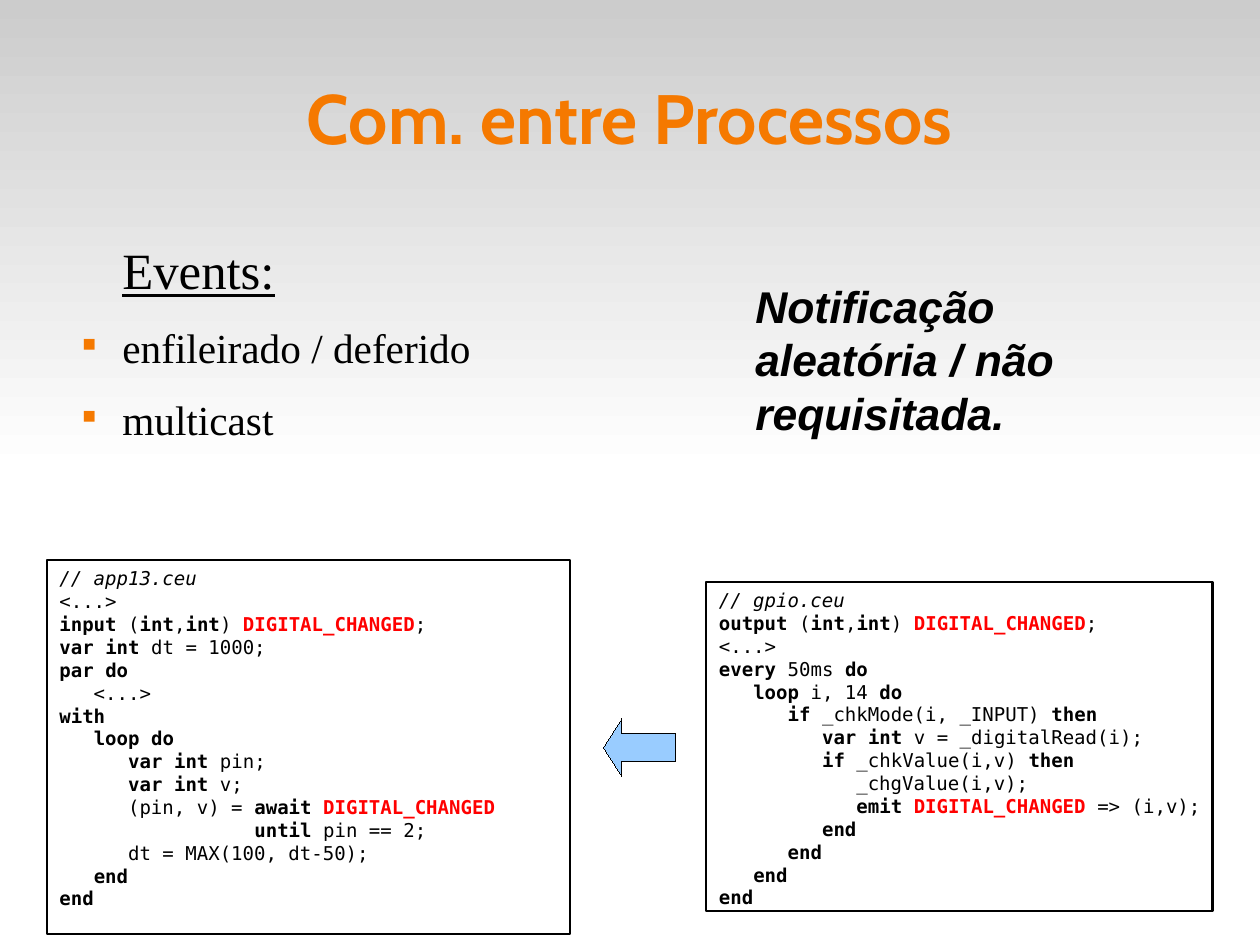
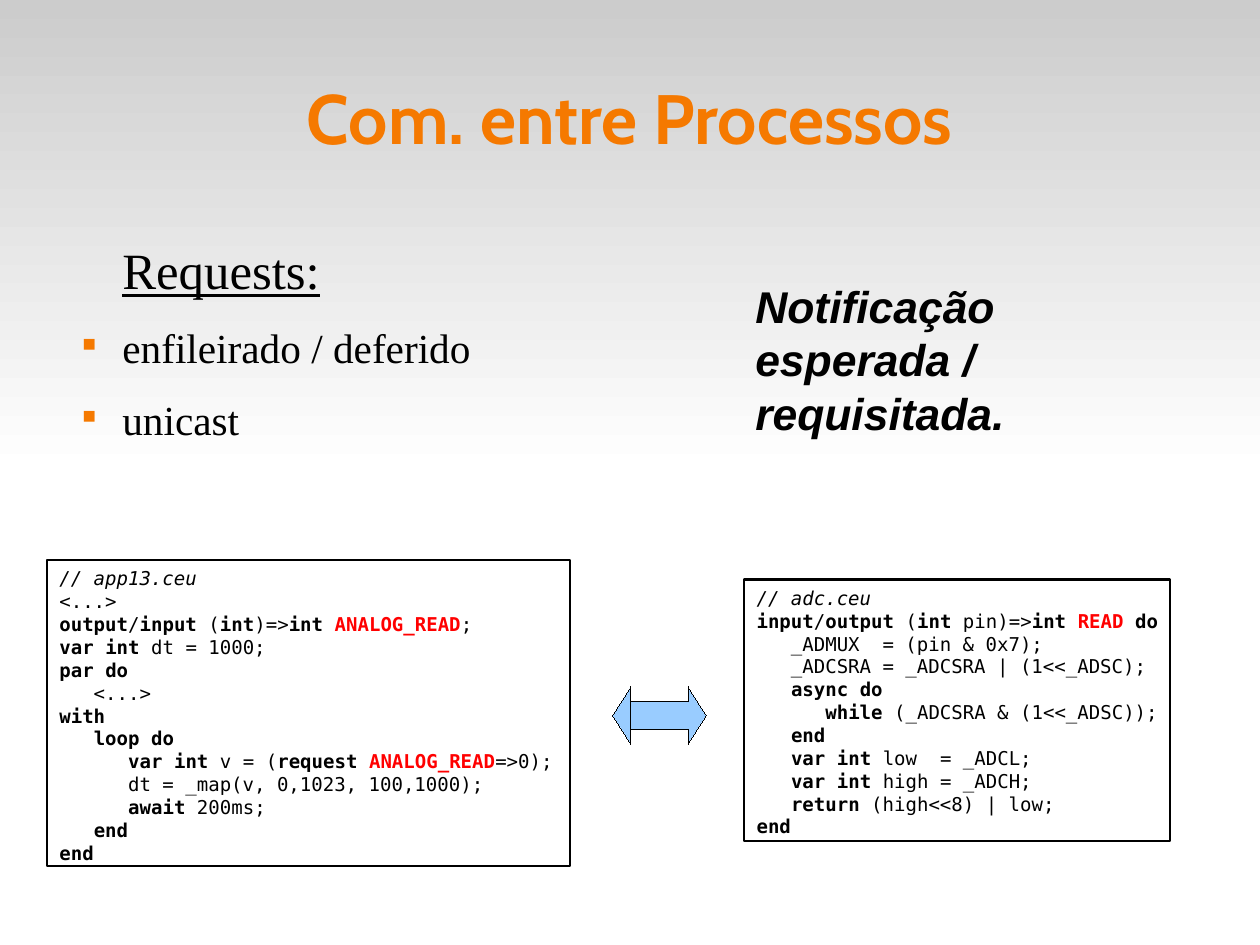
from itertools import groupby
from lxml.etree import SubElement
from pptx import Presentation
from pptx.dml.color import RGBColor
from pptx.enum.shapes import MSO_SHAPE as Shape
from pptx.enum.text import MSO_ANCHOR as Anchor, PP_ALIGN as Align
from pptx.oxml.ns import qn
from pptx.util import Inches, Pt

ORANGE = RGBColor(0xF5, 0x79, 0x00)
BLACK = RGBColor(0, 0, 0)
WHITE = RGBColor(0xFF, 0xFF, 0xFF)
GRAY = RGBColor(0xCC, 0xCC, 0xCC)
RED = RGBColor(0xFF, 0, 0)
BLUE = RGBColor(0x99, 0xCC, 0xFF)

WIDTH, HEIGHT = 28 / 2.54, 21 / 2.54
HAIR = 0.01
TITLE = "Com. entre Processos"
WORDS = set("input output int var par do with loop await until end every "
            "if then emit request async while return".split())
NAMES = {"DIGITAL_CHANGED", "ANALOG_READ", "READ"}

EVENT_APP = """// app13.ceu
<...>
input (int,int) DIGITAL_CHANGED;
var int dt = 1000;
par do
   <...>
with
   loop do
      var int pin;
      var int v;
      (pin, v) = await DIGITAL_CHANGED
                 until pin == 2;
      dt = MAX(100, dt-50);
   end
end"""

GPIO = """// gpio.ceu
output (int,int) DIGITAL_CHANGED;
<...>
every 50ms do
   loop i, 14 do
      if _chkMode(i, _INPUT) then
         var int v = _digitalRead(i);
         if _chkValue(i,v) then
            _chgValue(i,v);
            emit DIGITAL_CHANGED => (i,v);
         end
      end
   end
end"""

REQUEST_APP = """// app13.ceu
<...>
output/input (int)=>int ANALOG_READ;
var int dt = 1000;
par do
   <...>
with
   loop do
      var int v = (request ANALOG_READ=>0);
      dt = _map(v, 0,1023, 100,1000);
      await 200ms;
   end
end"""

ADC = """// adc.ceu
input/output (int pin)=>int READ do
   _ADMUX  = (pin & 0x7);
   _ADCSRA = _ADCSRA | (1<<_ADSC);
   async do
      while (_ADCSRA & (1<<_ADSC));
   end
   var int low  = _ADCL;
   var int high = _ADCH;
   return (high<<8) | low;
end"""

SLIDES = [
    {"head": "Events:",
     "items": ["enfileirado / deferido", "multicast"],
     "note": "Notificação aleatória / não requisitada.",
     "code": [(EVENT_APP, (0.41, 4.9, 4.58, 3.27), True),
              (GPIO, (6.18, 5.09, 4.43, 2.88), False)],
     "arrows": [(Shape.LEFT_ARROW, (5.28, 6.29, 0.63, 0.5))]},
    {"head": "Requests:",
     "items": ["enfileirado / deferido", "unicast"],
     "note": "Notificação esperada / requisitada.",
     "code": [(REQUEST_APP, (0.41, 4.9, 4.58, 2.68), True),
              (ADC, (6.51, 5.07, 3.73, 2.29), False)],
     "arrows": [(Shape.LEFT_ARROW, (5.36, 6.01, 0.63, 0.5)),
                (Shape.RIGHT_ARROW, (5.52, 6.01, 0.66, 0.5))]},
]


def style(font, name, size, color=BLACK, bold=False, italic=False):
    font.name, font.size, font.color.rgb = name, Pt(size), color
    font.bold, font.italic = bold, italic


def setup(frame, side=0, edge=0, wrap=True):
    frame.word_wrap = wrap
    frame.margin_left = frame.margin_right = Inches(side)
    frame.margin_top = frame.margin_bottom = Inches(edge)
    return frame


def add_text(slide, box, side=0, edge=0):
    shape = slide.shapes.add_textbox(*map(Inches, box))
    return setup(shape.text_frame, side, edge)


def add_box(slide, kind, box, color, line):
    shape = slide.shapes.add_shape(kind, *map(Inches, box))
    shape.shadow.inherit = False
    shape.fill.solid()
    shape.fill.fore_color.rgb = color
    shape.line.color.rgb = BLACK
    shape.line.width = Pt(line)
    return shape


def add_base(slide):
    band = add_box(slide, Shape.RECTANGLE, (0, 0, WIDTH, HEIGHT / 2), GRAY, HAIR)
    band.line.fill.background()
    band.fill.gradient()
    band.fill.gradient_angle = 270
    for stop, color, place in zip(band.fill.gradient_stops, (GRAY, WHITE), (0, 1)):
        stop.color.rgb, stop.position = color, place
    frame = add_text(slide, (0.55, 0.33, 9.92, 1.38))
    frame.vertical_anchor = Anchor.MIDDLE
    frame.text = TITLE
    frame.paragraphs[0].alignment = Align.CENTER
    style(frame.paragraphs[0].runs[0].font, "Cabin", 44, ORANGE, True)


def add_bullet(para):
    props = para._p.get_or_add_pPr()
    props.set("indent", str(Inches(-0.35)))
    tint = SubElement(props, qn("a:buClr"))
    SubElement(tint, qn("a:srgbClr"), val=str(ORANGE))
    SubElement(props, qn("a:buSzPct"), val="45000")
    SubElement(props, qn("a:buChar"), char="■")


def add_list(slide, head, items):
    frame = add_text(slide, (0.6, 2.09, 5.25, 2.01))
    frame.text = "\n".join([head, *items])
    for i, para in enumerate(frame.paragraphs):
        para._p.get_or_add_pPr().set("marL", str(Inches(0.47)))
        if i:
            add_bullet(para)
        para.space_after = Pt(14.2)
        font = para.runs[0].font
        style(font, "Times New Roman", 26 if i else 32)
        font.underline = i == 0


def split(line):
    if line.startswith("//"):
        return [line]
    return ["".join(part) for _, part in
            groupby(line, lambda c: c.isalnum() or c == "_")]


def add_code(slide, code, box, wrap):
    shape = add_box(slide, Shape.RECTANGLE, box, WHITE, 1.45)
    frame = setup(shape.text_frame, 0.11, 0.06, wrap)
    frame.vertical_anchor = Anchor.TOP
    for i, line in enumerate(code.split("\n")):
        para = frame.add_paragraph() if i else frame.paragraphs[0]
        para.alignment = Align.LEFT
        for part in split(line):
            run = para.add_run()
            run.text = part
            style(run.font, "DejaVu Sans Mono", 12, RED if part in NAMES else BLACK,
                  part in WORDS | NAMES, part.startswith("//"))


def add_arrow(slide, kind, box):
    shape = add_box(slide, kind, box, BLUE, HAIR)
    shape.adjustments[0] = 0.5
    shape.adjustments[1] = 0.32


def add_note(slide, text):
    frame = add_text(slide, (6.51, 2.39, 3.09, 1.69), 0.1, 0.05)
    frame.text = text
    style(frame.paragraphs[0].runs[0].font, "Arial", 28, bold=True, italic=True)


def main():
    deck = Presentation()
    deck.slide_width, deck.slide_height = Inches(WIDTH), Inches(HEIGHT)
    for data in SLIDES:
        slide = deck.slides.add_slide(deck.slide_layouts[6])
        add_base(slide)
        add_list(slide, data["head"], data["items"])
        for code, box, wrap in data["code"]:
            add_code(slide, code, box, wrap)
        for kind, box in data["arrows"]:
            add_arrow(slide, kind, box)
        add_note(slide, data["note"])
    deck.save("out.pptx")


if __name__ == "__main__":
    main()
